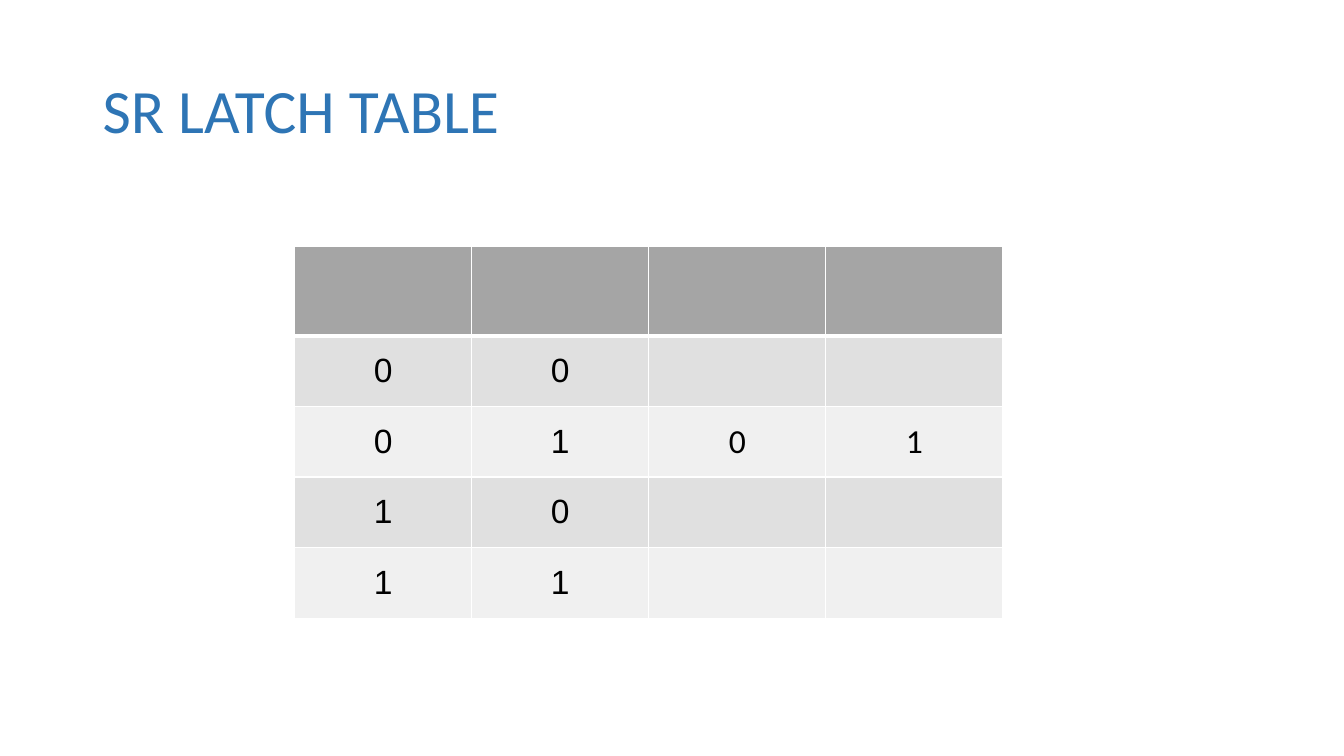
from dataclasses import dataclass

from lxml import etree
from pptx import Presentation
from pptx import util as u
from pptx.dml.color import RGBColor
from pptx.enum import text
from pptx.oxml import ns

# Content: inputs S and R, then the two outputs; the heading row is blank
TITLE = "SR LATCH TABLE"
LATCH_STATES = [
    ("", "", "", ""),
    ("0", "0", "", ""),
    ("0", "1", "0", "1"),
    ("1", "0", "", ""),
    ("1", "1", "", ""),
]
INPUT_COUNT = 2


@dataclass(frozen=True)
class Theme:
    title: str = "2E75B5"
    ink: str = "000000"
    grid: str = "FFFFFF"
    heading: str = "A5A5A5"
    bands: tuple = ("E0E0E0", "F0F0F0")
    title_size: int = 44
    state_size: int = 24
    title_font: str = "Calibri"
    input_font: str = "Arial"
    output_font: str = "Calibri"


THEME = Theme()

# Layout
SLIDE_SIZE = u.Cm(33.87), u.Cm(19.05)
TITLE_BOX = u.Cm(2.33), u.Cm(1.01), u.Cm(29.21), u.Cm(3.68)
TABLE_LEFT, TABLE_TOP = u.Cm(7.43), u.Cm(6.2)
COLUMN_WIDTH = u.Cm(4.46)
HEADING_HEIGHT, STATE_HEIGHT = u.Cm(2.26), u.Cm(1.78)
THIN, THICK = u.Pt(1), u.Pt(3)


def add_run(paragraph, words, font, size, colour):
    run = paragraph.add_run()
    run.text = words
    run.font.name = font
    run.font.size = u.Pt(size)
    run.font.bold = False
    run.font.color.rgb = RGBColor.from_string(colour)


def set_borders(cell, top, bottom):
    properties = cell._tc.get_or_add_tcPr()
    for side, width in (("L", THIN), ("R", THIN), ("T", top), ("B", bottom)):
        edge = etree.SubElement(properties, ns.qn(f"a:ln{side}"), w=str(width))
        fill = etree.SubElement(edge, ns.qn("a:solidFill"))
        etree.SubElement(fill, ns.qn("a:srgbClr"), val=THEME.grid)


def add_title(slide):
    title = slide.shapes.title
    title.left, title.top, title.width, title.height = TITLE_BOX
    frame = title.text_frame
    frame.auto_size = text.MSO_AUTO_SIZE.NONE
    frame.word_wrap = True
    frame.vertical_anchor = text.MSO_ANCHOR.MIDDLE
    heading = frame.paragraphs[0]
    heading.alignment = text.PP_ALIGN.LEFT
    heading.line_spacing = 0.9
    add_run(heading, TITLE, THEME.title_font, THEME.title_size, THEME.title)


def add_latch_table(slide):
    row_count, column_count = len(LATCH_STATES), len(LATCH_STATES[0])
    table_height = HEADING_HEIGHT + (row_count - 1) * STATE_HEIGHT
    latch = slide.shapes.add_table(
        row_count, column_count, TABLE_LEFT, TABLE_TOP,
        column_count * COLUMN_WIDTH, table_height).table
    for column in latch.columns:
        column.width = COLUMN_WIDTH

    for r, state in enumerate(LATCH_STATES):
        latch.rows[r].height = STATE_HEIGHT if r else HEADING_HEIGHT
        shade = THEME.bands[(r - 1) % 2] if r else THEME.heading
        for c, level in enumerate(state):
            cell = latch.cell(r, c)
            # The heading is set off by a thicker rule
            set_borders(cell, top=THICK if r == 1 else THIN,
                        bottom=THIN if r else THICK)
            cell.fill.solid()
            cell.fill.fore_color.rgb = RGBColor.from_string(shade)
            cell.vertical_anchor = text.MSO_ANCHOR.MIDDLE
            if level:
                font = THEME.input_font if c < INPUT_COUNT else THEME.output_font
                paragraph = cell.text_frame.paragraphs[0]
                paragraph.alignment = text.PP_ALIGN.CENTER
                add_run(paragraph, level, font, THEME.state_size, THEME.ink)


def main():
    deck = Presentation()
    deck.slide_width, deck.slide_height = SLIDE_SIZE
    slide = deck.slides.add_slide(deck.slide_layouts.get_by_name("Title Only"))
    add_title(slide)
    add_latch_table(slide)
    deck.save("out.pptx")


if __name__ == "__main__":
    main()
